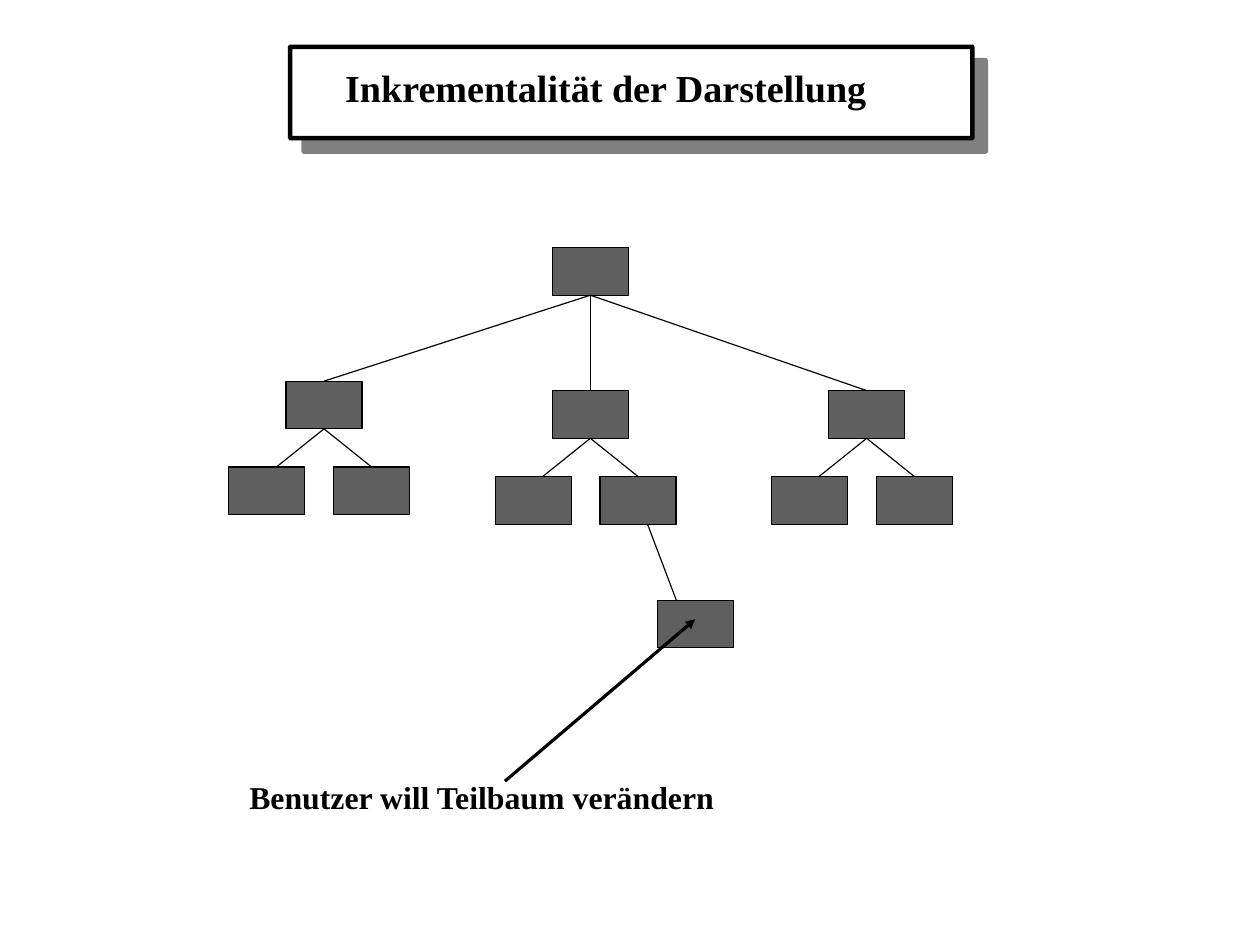
from dataclasses import dataclass

import lxml.etree
import pptx
import pptx.dml.color
import pptx.enum.shapes
import pptx.enum.text
import pptx.oxml.ns
import pptx.util

Cm = pptx.util.Cm
Pt = pptx.util.Pt
BOTTOM, TOP = 2, 0
NODE_WIDTH, NODE_HEIGHT = 1.69, 1.06


@dataclass(frozen=True)
class Theme:
    font: str = "Times New Roman"
    ink: str = "000000"
    paper: str = "FFFFFF"
    node: str = "5F5F5F"
    shade: str = "808080"
    title_size: float = 24
    label_size: float = 20
    thin: float = 0.75
    arrow: float = 2
    frame: float = 2.83


def rgb(value):
    return pptx.dml.color.RGBColor.from_string(value)


def add_xml(parent, tag, **attributes):
    return lxml.etree.SubElement(parent, pptx.oxml.ns.qn(tag), attributes)


def write(frame, text, *, font, size, color, bold=True, spacing=1.0, margins=(0, 0), wrap=True):
    frame.word_wrap = wrap
    frame.auto_size = pptx.enum.text.MSO_AUTO_SIZE.SHAPE_TO_FIT_TEXT
    frame.margin_left = frame.margin_right = Cm(margins[0])
    frame.margin_top = frame.margin_bottom = Cm(margins[1])
    paragraph = frame.paragraphs[0]
    paragraph.line_spacing = spacing
    run = paragraph.add_run()
    run.text = text
    run.font.name = font
    run.font.size = Pt(size)
    run.font.bold = bold
    run.font.color.rgb = rgb(color)


class TreeSlide:
    def __init__(self, slide, theme):
        self.shapes = slide.shapes
        self.theme = theme

    def box(self, preset, left, top, width, height, fill, line_width):
        shape = self.shapes.add_shape(preset, Cm(left), Cm(top), Cm(width), Cm(height))
        shape.shadow.inherit = False
        shape.fill.solid()
        shape.fill.fore_color.rgb = rgb(fill)
        shape.line.color.rgb = rgb(self.theme.ink)
        shape.line.width = Pt(line_width)
        return shape

    def title_frame(self, left, top, width, height):
        frame = self.box(pptx.enum.shapes.MSO_SHAPE.ROUNDED_RECTANGLE, left, top, width, height,
                         self.theme.paper, self.theme.frame)
        frame.adjustments[0] = 0.002
        effects = frame._element.spPr.find(pptx.oxml.ns.qn("a:effectLst"))
        shadow = add_xml(effects, "a:outerShdw", dist=str(Pt(12)), dir="2700000",
                         algn="tl", rotWithShape="0")
        add_xml(shadow, "a:srgbClr", val=self.theme.shade)

    def node(self, center, top):
        return self.box(pptx.enum.shapes.MSO_SHAPE.RECTANGLE, center - NODE_WIDTH / 2, top,
                        NODE_WIDTH, NODE_HEIGHT, self.theme.node, self.theme.thin)

    def line(self, start, end, width, parent=None, child=None, arrow=False):
        edge = self.shapes.add_connector(pptx.enum.shapes.MSO_CONNECTOR.STRAIGHT,
                                         *map(Cm, start), *map(Cm, end))
        if parent is not None:
            edge.begin_connect(parent, BOTTOM)
        if child is not None:
            edge.end_connect(child, TOP)
        edge.line.color.rgb = rgb(self.theme.ink)
        edge.line.width = Pt(width)
        if arrow:
            add_xml(edge.line._get_or_add_ln(), "a:tailEnd", type="triangle")
        add_xml(edge._element.spPr, "a:effectLst")

    def text(self, text, left, top, width, height, size, **style):
        box = self.shapes.add_textbox(Cm(left), Cm(top), Cm(width), Cm(height))
        write(box.text_frame, text, font=self.theme.font, size=size,
              color=self.theme.ink, **style)

    def subtree(self, center, top):
        parent = self.node(center, top)
        leaf_top = top + 1.91
        for leaf_shift, edge_shift in ((-1.27, -1.06), (1.06, 1.06)):
            leaf = self.node(center + leaf_shift, leaf_top)
            self.line((center, top + NODE_HEIGHT), (center + edge_shift, leaf_top),
                      self.theme.thin, parent, leaf if leaf_shift == edge_shift else None)
        return parent


def main():
    presentation = pptx.Presentation()
    presentation.slide_width = Cm(28)
    presentation.slide_height = Cm(21)
    theme = Theme()
    tree = TreeSlide(presentation.slides.add_slide(presentation.slide_layouts[6]), theme)

    tree.title_frame(6.45, 1.04, 15.16, 2.03)
    tree.text("Inkrementalität der Darstellung", 7.67, 1.52, 13.72, 0.94,
              theme.title_size, spacing=0.93)

    root_center, root_top = 13.12, 5.5
    root = tree.node(root_center, root_top)
    for center, top in ((7.2, 8.47), (root_center, 8.68), (19.26, 8.68)):
        branch = tree.subtree(center, top)
        tree.line((root_center, root_top + NODE_HEIGHT), (center, top),
                  theme.thin, root, branch)

    tree.line((14.39, 11.65), (15.03, 13.34), theme.thin)
    tree.node(15.45, 13.34)
    tree.line((11.22, 17.36), (15.45, 13.76), theme.arrow, arrow=True)
    tree.text("Benutzer will Teilbaum verändern", 5.29, 17.15, 10.92, 1.12,
              theme.label_size, margins=(0.25, 0.13), wrap=False)

    presentation.save("out.pptx")


if __name__ == "__main__":
    main()
